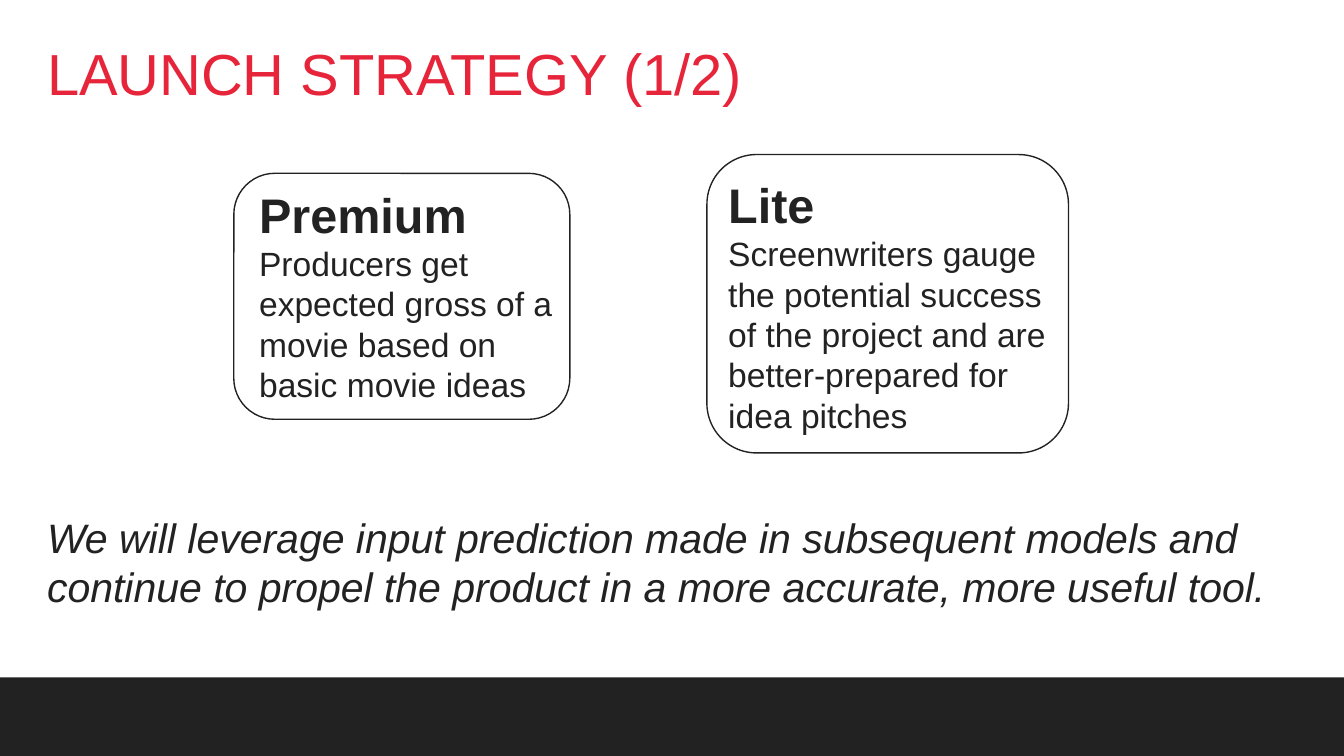
from dataclasses import dataclass

import pptx
import pptx.dml.color
import pptx.enum.shapes
import pptx.enum.text
import pptx.util
from pptx.util import Inches


@dataclass(frozen=True)
class Theme:
    font: str = "Arial"
    red: str = "E7253A"
    dark: str = "222222"
    title: int = 31
    heading: int = 26
    statement: int = 22
    body: int = 18


theme = Theme()
ANCHOR = pptx.enum.text.MSO_ANCHOR
SHAPE = pptx.enum.shapes.MSO_SHAPE


def rgb(color):
    return pptx.dml.color.RGBColor.from_string(color)


def add_text(s, box, inset, anchor, lines):
    """Add a text box; each line is (text, size, color, bold, italic)."""
    tf = s.shapes.add_textbox(*map(Inches, box)).text_frame
    tf.word_wrap = True
    tf.vertical_anchor = anchor
    tf.margin_left = tf.margin_right = Inches(inset)
    tf.margin_top = tf.margin_bottom = Inches(inset)
    tf.text = "\n".join(line[0] for line in lines)
    for p, (_, size, color, bold, italic) in zip(tf.paragraphs, lines):
        font = p.runs[0].font
        font.name = theme.font
        font.size = pptx.util.Pt(size)
        font.color.rgb = rgb(color)
        font.bold = bold
        font.italic = italic
    return tf


# 16:9 slide
prs = pptx.Presentation()
prs.slide_width = Inches(10)
prs.slide_height = Inches(10) * 9 // 16
s = prs.slides.add_slide(prs.slide_layouts[6])

footer = s.shapes.add_shape(
    SHAPE.RECTANGLE, Inches(-0.01), Inches(5.04), Inches(10.01), Inches(0.59)
)
footer.shadow.inherit = False
footer.fill.solid()
footer.fill.fore_color.rgb = rgb(theme.dark)
footer.line.fill.background()

title = add_text(
    s, (0.31, 0.34, 9.38, 0.42), 0.04, ANCHOR.TOP,
    [("LAUNCH STRATEGY (1/2)", theme.title, theme.red, False, False)],
)
title.paragraphs[0].line_spacing = 0.8

add_text(
    s, (0.31, 3.77, 9.38, 1.07), 0.04, ANCHOR.TOP,
    [("We will leverage input prediction made in subsequent models and "
      "continue to propel the product in a more accurate, more useful tool.",
      theme.statement, theme.dark, False, True)],
)

# Heading, description, text box, outline
plans = [
    ("Lite",
     "Screenwriters gauge the potential success of the project and are "
     "better-prepared for idea pitches",
     (5.32, 1.21, 2.8, 2.12), (5.26, 1.15, 2.69, 2.22)),
    ("Premium",
     "Producers get expected gross of a movie based on basic movie ideas",
     (1.83, 1.13, 2.5, 2.12), (1.74, 1.29, 2.5, 1.83)),
]
for heading, description, text_box, outline in plans:
    add_text(
        s, text_box, 0.1, ANCHOR.MIDDLE,
        [(heading, theme.heading, theme.dark, True, False),
         (description, theme.body, theme.dark, False, False)],
    )
    sp = s.shapes.add_shape(SHAPE.ROUNDED_RECTANGLE, *map(Inches, outline))
    sp.shadow.inherit = False
    sp.fill.background()
    sp.line.color.rgb = rgb(theme.dark)
    sp.line.width = pptx.util.Pt(0.75)

prs.save("out.pptx")
